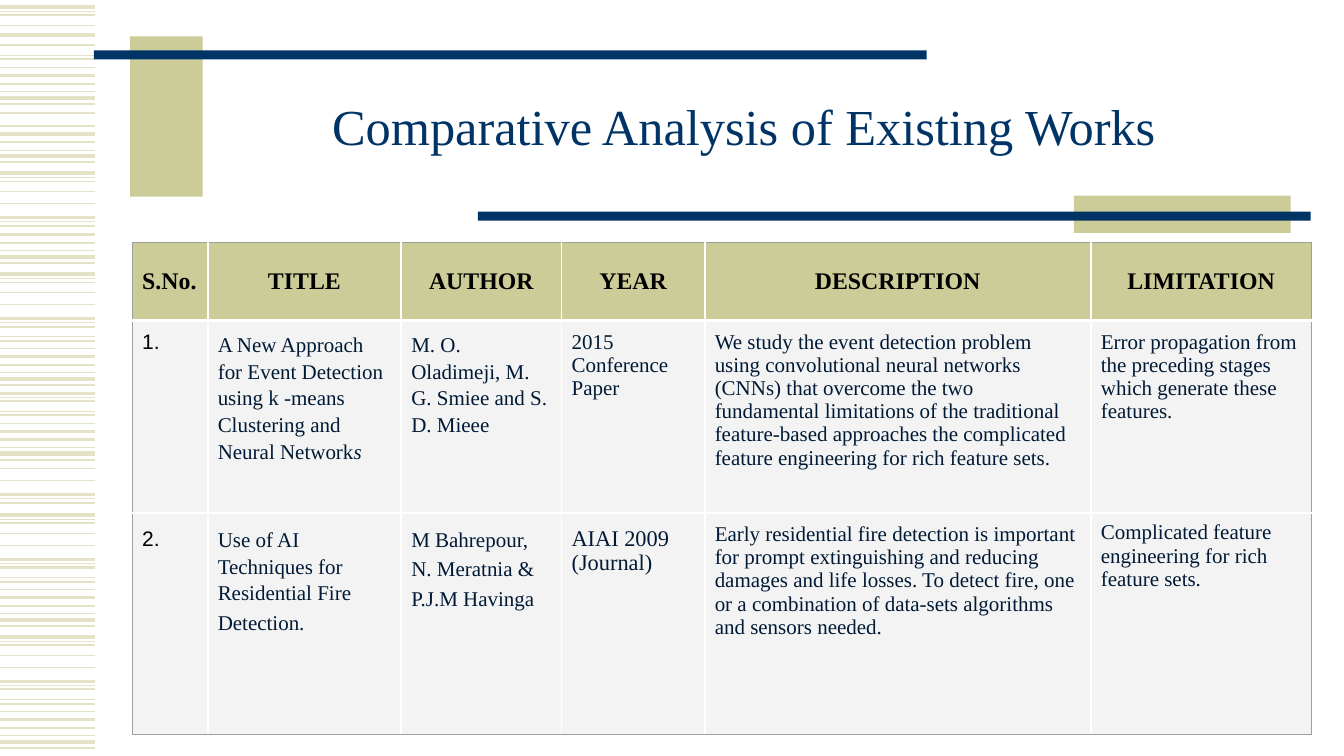
import dataclasses

import pptx
import pptx.dml.color
import pptx.enum.shapes
import pptx.enum.text
import pptx.oxml
import pptx.oxml.ns
import pptx.util

ALIGN = pptx.enum.text.PP_ALIGN
ANCHOR = pptx.enum.text.MSO_ANCHOR


@dataclasses.dataclass(frozen=True)
class Theme:
    navy: str = "003366"
    ink: str = "001A36"
    black: str = "000000"
    khaki: str = "CCCC99"
    stripe: str = "E3E2C7"
    cell: str = "F3F3F3"
    white: str = "FFFFFF"
    edge: str = "9E9E9E"
    serif: str = "Times New Roman"
    sans: str = "Arial"
    title_size: int = 36
    header_size: int = 17
    body_size: int = 15
    venue_size: int = 16


THEME = Theme()


@dataclasses.dataclass(frozen=True)
class Box:
    left: float
    top: float
    width: float
    height: float

    def inner(self, left, top, width, height):
        """Inner box, given in percent of this one."""
        return Box(self.left + self.width * left / 100, self.top + self.height * top / 100,
                   self.width * width / 100, self.height * height / 100)

    def lengths(self):
        return [pptx.util.Inches(value) for value in dataclasses.astuple(self)]


@dataclasses.dataclass(frozen=True)
class Column:
    heading: str
    share: int
    first: list    # paragraphs about the first work, each a list of runs
    second: list   # paragraphs about the second work
    gap: int       # points between the two works
    spacing: float = 1.0
    after_gap: int = 0
    font: str = THEME.serif
    color: str = THEME.ink
    second_size: int = THEME.body_size
    heading_align: ALIGN = ALIGN.CENTER


COLUMNS = [
    Column("S.No.", 75, [["1."]], [["2."]], 124, font=THEME.sans, color=THEME.black,
           heading_align=ALIGN.LEFT),
    Column("TITLE", 192,
           [["A New Approach for Event Detection using k -means Clustering and Neural Network",
             "s"]],
           [["Use of AI Techniques for Residential Fire"], ["Detection."]],
           44, spacing=1.15, after_gap=2),
    Column("AUTHOR", 159, [["M. O. Oladimeji, M. G. Smiee and S. D. Mieee"]],
           [["M Bahrepour,"], ["N. Meratnia &"], ["P.J.M Havinga"]],
           63, spacing=1.15, after_gap=2),
    Column("YEAR", 142, [["2015 Conference Paper"]], [["AIAI 2009"], ["(Journal)"]],
           90, second_size=THEME.venue_size),
    Column("DESCRIPTION", 383,
           [["We study the event detection problem using convolutional neural networks (CNNs) "
             "that overcome the two fundamental limitations of the traditional feature-based "
             "approaches the complicated feature engineering for rich feature sets."]],
           [["Early residential fire detection is important"],
            ["for prompt extinguishing and reducing damages and life losses. To detect fire, "
             "one or a combination of data-sets algorithms and sensors needed."]], 38),
    Column("LIMITATION", 219,
           [["Error propagation from the preceding stages which generate these features."]],
           [["Complicated feature engineering for rich feature sets."]], 70),
]
ROW_SHARES = (77, 411)

# Stripe motif: (grid row, line weight); the strip is 750 rows high
STRIPE_ROWS = 750
MOTIF = [(0, 3), (4, 0.75), (8, 1), (18, 1), (30, 1), (44, 2.25), (48, 0.75), (52, 1.5),
         (62, 0.75), (66, 1.5), (74, 1), (82, 2.25), (90, 1.5), (98, 0.75), (104, 3), (110, 1.5)]
# Where the motif starts, and which slice of it shows there
STRIPE_RUNS = [(7, 0, 4), (35, 0, 1), (-7, 7, 16), (94, 3, 4), (51, 10, 16), (172, 0, 8),
               (151, 11, 16), (272, 0, 16), (346, 5, 16), (447, 3, 8), (511, 0, 16),
               (632, 0, 16)]


def rgb(color):
    return pptx.dml.color.RGBColor.from_string(color)


def add_line(page, left, right, y, color, weight):
    line = page.shapes.add_connector(
        pptx.enum.shapes.MSO_CONNECTOR.STRAIGHT,
        *[pptx.util.Inches(value) for value in (left, y, right, y)])
    line.line.color.rgb = rgb(color)
    line.line.width = pptx.util.Pt(weight)
    line._element.spPr.append(pptx.oxml.parse_xml(
        f'<a:effectLst {pptx.oxml.ns.nsdecls("a")}/>'))


def add_span(para, text, size, color, font=THEME.serif, bold=False, italic=False):
    span = para.add_run()
    span.text = text
    span.font.name, span.font.size = font, pptx.util.Pt(size)
    span.font.bold, span.font.italic = bold, italic
    span.font.color.rgb = rgb(color)


def add_stripes(page, box):
    row = box.height / STRIPE_ROWS
    for start, first, last in STRIPE_RUNS:
        for offset, weight in MOTIF[first:last]:
            add_line(page, box.left, box.left + box.width,
                     box.top + (start + offset) * row, THEME.stripe, weight)


def add_ornament(page, box):
    blocks = [((9.68, 4.8, 5.4, 21.2), THEME.khaki), ((6.98, 6.67, 61.96, 1.2), THEME.navy),
              ((79.9, 25.87, 16.13, 4.93), THEME.khaki), ((35.56, 28, 61.96, 1.2), THEME.navy)]
    for shares, color in blocks:
        block = page.shapes.add_shape(pptx.enum.shapes.MSO_SHAPE.RECTANGLE,
                                      *box.inner(*shares).lengths())
        block.shadow.inherit = False
        block.fill.solid()
        block.fill.fore_color.rgb = rgb(color)
        block.line.fill.background()


def add_title(page, box, text):
    title = page.shapes.title
    title.left, title.top, title.width, title.height = box.lengths()
    title.text_frame.vertical_anchor = ANCHOR.MIDDLE
    para = title.text_frame.paragraphs[0]
    para.alignment, para.line_spacing = ALIGN.CENTER, 0.85
    add_span(para, text, THEME.title_size, THEME.navy)


def style_cell(cell, fill, borders):
    cell.margin_left = cell.margin_right = pptx.util.Inches(0.1)
    cell.margin_top = cell.margin_bottom = pptx.util.Inches(0.1)
    properties = cell._tc.get_or_add_tcPr()
    for side, (color, weight) in zip("LRTB", borders):
        properties.append(pptx.oxml.parse_xml(
            f'<a:ln{side} {pptx.oxml.ns.nsdecls("a")} w="{pptx.util.Pt(weight)}">'
            f'<a:solidFill><a:srgbClr val="{color}"/></a:solidFill></a:ln{side}>'))
    cell.fill.solid()
    cell.fill.fore_color.rgb = rgb(fill)


def fill_body(cell, column):
    frame = cell.text_frame
    entries = [(spans, THEME.body_size, 0) for spans in column.first]
    entries += [(spans, column.second_size, column.after_gap if index else column.gap)
                for index, spans in enumerate(column.second)]
    for index, (spans, size, before) in enumerate(entries):
        para = frame.add_paragraph() if index else frame.paragraphs[0]
        para.line_spacing, para.space_before = column.spacing, pptx.util.Pt(before)
        for number, text in enumerate(spans):
            add_span(para, text, size, column.color, column.font, italic=number > 0)


def add_comparison(page, box):
    table = page.shapes.add_table(2, len(COLUMNS), *box.lengths()).table
    table.first_row = table.horz_banding = False
    for row, share in zip(table.rows, ROW_SHARES):
        row.height = pptx.util.Inches(box.height * share / sum(ROW_SHARES))
    outer, inner, rule = (THEME.edge, 0.75), (THEME.white, 1.5), (THEME.white, 3)
    total = sum(column.share for column in COLUMNS)
    for index, column in enumerate(COLUMNS):
        table.columns[index].width = pptx.util.Inches(box.width * column.share / total)
        left = inner if index else outer
        right = inner if index < len(COLUMNS) - 1 else outer
        # Heading
        head = table.cell(0, index)
        style_cell(head, THEME.khaki, (left, right, outer, rule))
        head.vertical_anchor = ANCHOR.MIDDLE
        para = head.text_frame.paragraphs[0]
        para.alignment = column.heading_align
        add_span(para, column.heading, THEME.header_size, THEME.black, bold=True)
        # Both works
        body = table.cell(1, index)
        style_cell(body, THEME.cell, (left, right, rule, outer))
        fill_body(body, column)
    # Divider between the works
    add_line(page, box.left, box.left + box.width, box.top + box.height * 0.55,
             THEME.white, 1.5)


def main():
    deck = pptx.Presentation()
    deck.slide_width, deck.slide_height = pptx.util.Inches(13.33), pptx.util.Inches(7.5)
    page = deck.slides.add_slide(deck.slide_layouts[5])
    whole = Box(0, 0, 13.33, 7.5)
    add_stripes(page, whole.inner(0, 0, 7.05, 100))
    add_ornament(page, whole)
    add_title(page, whole.inner(15, 8.93, 80.72, 16.67), "Comparative Analysis of Existing Works")
    add_comparison(page, whole.inner(9.83, 32.13, 87.77, 65.07))
    deck.save("out.pptx")


if __name__ == "__main__":
    main()
